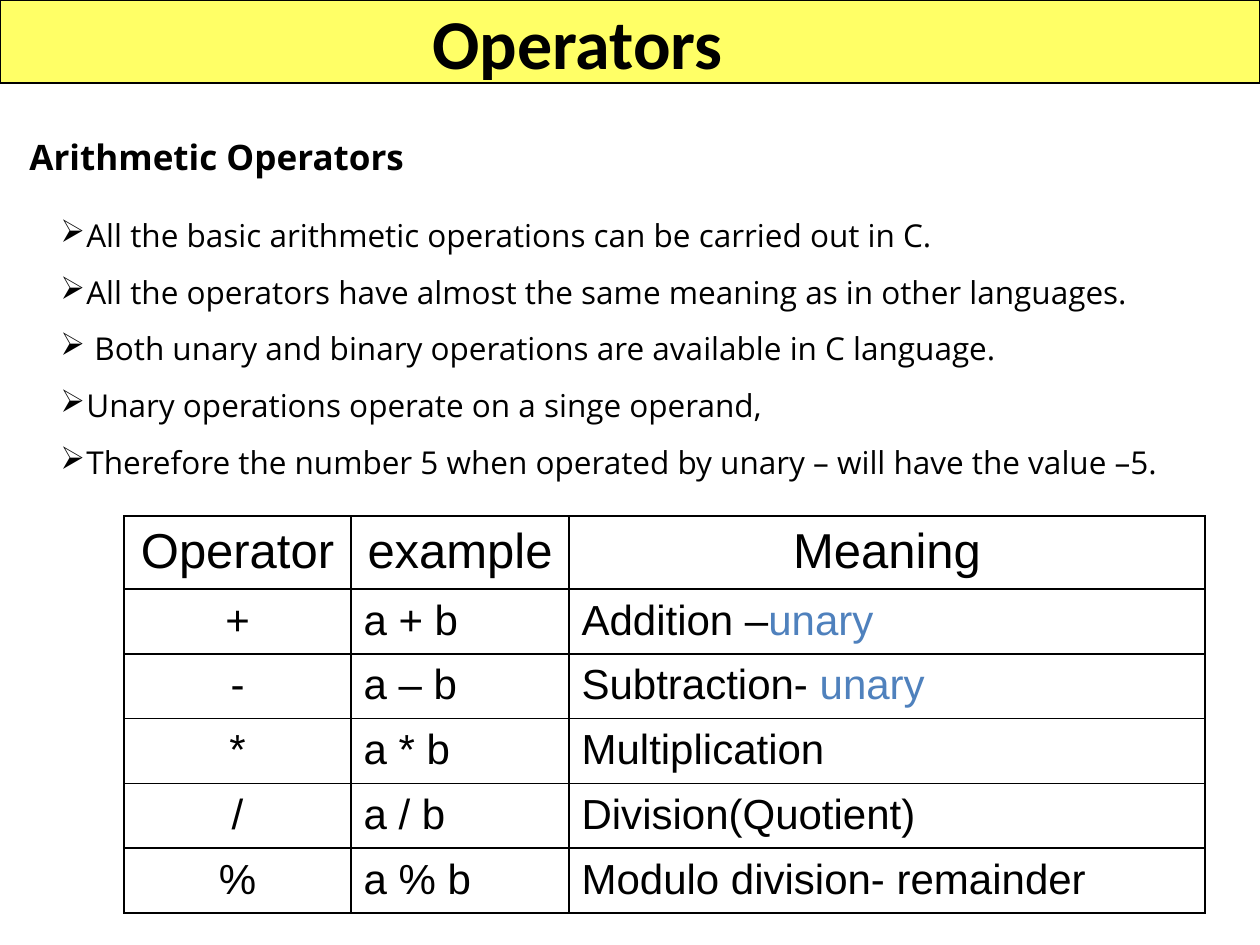
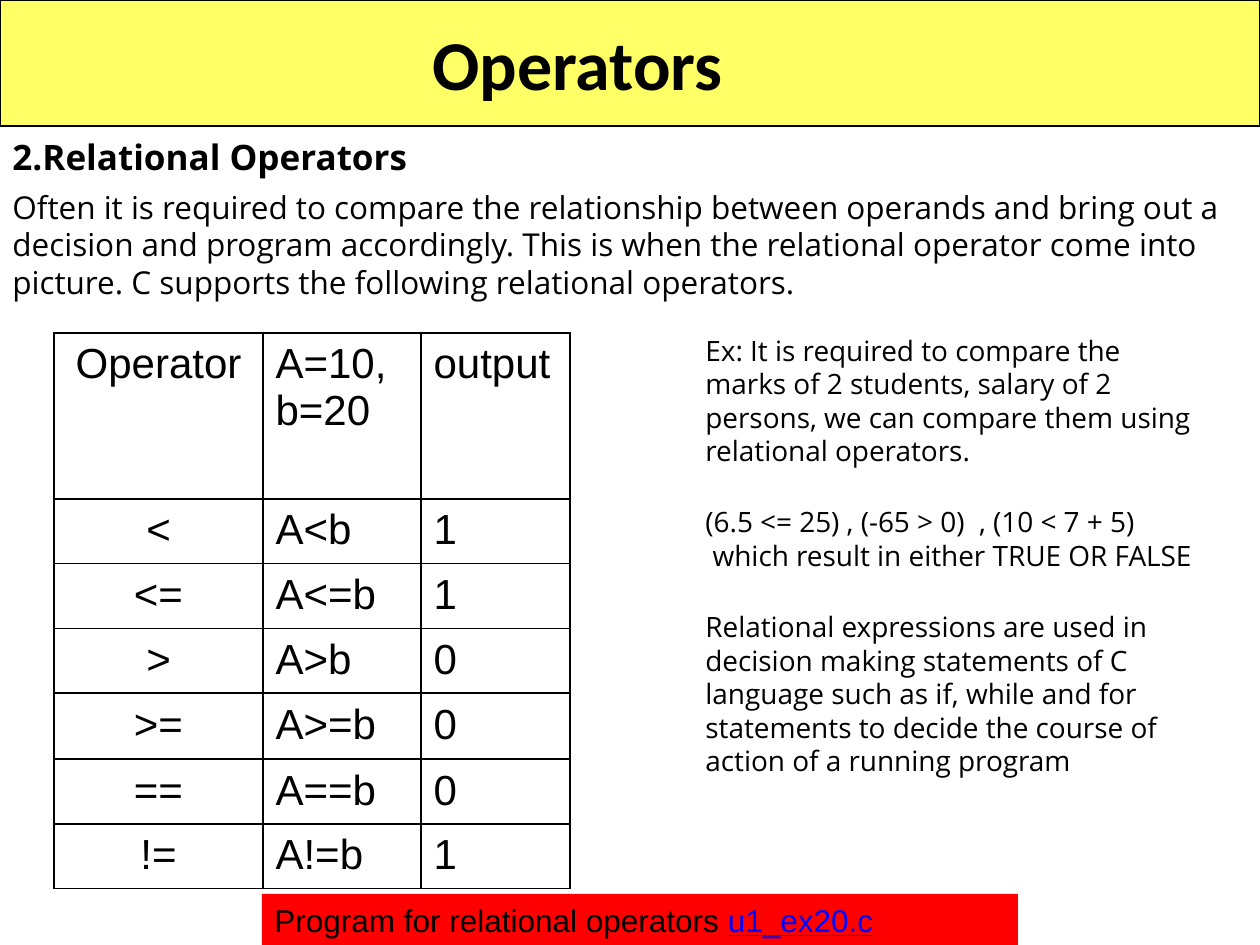
"""Build two slides on arithmetic and relational operators in C."""
import lxml.etree
import pptx
import pptx.dml.color
import pptx.enum.shapes
import pptx.enum.text
import pptx.oxml.ns
import pptx.util

RGB = pptx.dml.color.RGBColor
ALIGN = pptx.enum.text.PP_ALIGN
ANCHOR = pptx.enum.text.MSO_ANCHOR
RECT = pptx.enum.shapes.MSO_SHAPE.RECTANGLE
Pt = pptx.util.Pt

BLACK = RGB(0, 0, 0)
WHITE = RGB(255, 255, 255)
YELLOW = RGB(255, 255, 102)
RED = RGB(255, 0, 0)
ACCENT = RGB(79, 129, 189)
LINK = RGB(0, 0, 255)

TITLE = {"name": "Calibri", "size": 40, "bold": True}
HEAD = {"name": "Noto Sans", "size": 20, "bold": True}
BODY = {"name": "Open Sans", "size": 18}
SIDE = {"name": "Open Sans", "size": 16}
NOTE = {"name": "Arial", "size": 18}
CELL = {"name": "Arial", "size": 24}
BIG = {"name": "Arial", "size": 28}
TINT = {"color": ACCENT}
HREF = {"color": LINK, "underline": True}

PAGES = [
    {
        "band": 83,
        "head": ("Arithmetic Operators", (17, 129, 473, 56)),
        "texts": [{
            "box": (48, 191, 1212, 300), "font": BODY, "pitch": 32.4, "mark": "➢",
            "lines": [
                ("All the basic arithmetic operations can be carried out in C.", 0),
                ("All the operators have almost the same meaning as in other languages.", 0),
                (" Both unary and binary operations are available in C language.", 0),
                ("Unary operations operate on a singe operand,", 0),
                ("Therefore the number 5 when operated by unary – will have the value –5.", 0),
            ],
        }],
        "table": {
            "at": (124, 516), "cols": [227, 218, 636], "rows": [72] + [63] * 5,
            "top": BIG, "mid": 3,
            "cells": [
                ("Operator", "example", "Meaning"),
                ("+", "a + b", ("Addition –", "unary")),
                ("-", "a – b", ("Subtraction- ", "unary")),
                ("*", "a * b", "Multiplication"),
                ("/", "a / b", "Division(Quotient)"),
                ("%", "a % b", "Modulo division- remainder"),
            ],
        },
    },
    {
        "band": 126,
        "head": ("2.Relational Operators", (0, 129, 451, 50)),
        "texts": [
            {
                "box": (0, 182, 1260, 126), "font": BODY, "pitch": 21.4,
                "lines": [(
                    "Often it is required to compare the relationship between operands "
                    "and bring out a decision and program accordingly. This is when the "
                    "relational operator come into picture. C supports the following "
                    "relational operators.", 0)],
            },
            {
                "box": (693, 327, 525, 515), "font": SIDE, "pitch": 19.2,
                "lines": [
                    ("Ex: It is required to compare the marks of 2 students, salary of "
                     "2 persons, we can compare them using relational operators.", 0),
                    ("(6.5 <= 25) , (-65 > 0)  , (10 < 7 + 5)", 21.4),
                    (" which result in either TRUE OR FALSE", 0),
                    ("Relational expressions are used in decision making statements of C "
                     "language such as if, while and for statements to decide the course "
                     "of action of a running program", 21.4),
                ],
            },
        ],
        "table": {
            "at": (54, 333), "cols": [209, 158, 149],
            "rows": [166, 63, 63, 63, 66, 63, 63], "top": CELL, "mid": 1,
            "cells": [
                ("Operator", "A=10,b=20", "output"),
                ("<", "A<b", "1"),
                ("<=", "A<=b", "1"),
                (">", "A>b", "0"),
                (">=", "A>=b", "0"),
                ("==", "A==b", "0"),
                ("!=", "A!=b", "1"),
            ],
        },
        "note": (("Program for relational operators ", "u1_ex20.c"), (262, 894, 756, 51)),
    },
]


def px(num):
    """Turn px into EMU."""
    return pptx.util.Emu(round(num * 914400 / 126))


def put(obj, **vals):
    """Set attributes from format values."""
    for key, val in vals.items():
        setattr(obj, key, val)


def sub(node, tag, **vals):
    """Add a drawing element under a node."""
    return lxml.etree.SubElement(node, pptx.oxml.ns.qn("a:" + tag), vals)


def write(par, text, font, tail=None):
    """Write text, with an optional tail in another format."""
    parts = (text,) if isinstance(text, str) else text
    for part, more in zip(parts, ({}, tail)):
        run = par.add_run()
        run.text = part
        vals = {"color": BLACK, **font, **more}
        run.font.color.rgb = vals.pop("color")
        put(run.font, **{**vals, "size": Pt(vals["size"])})


def bar(slide, box, fill, line=None):
    """Draw a filled rectangle and return it."""
    shape = slide.shapes.add_shape(RECT, *map(px, box))
    shape.shadow.inherit = False
    shape.fill.solid()
    shape.fill.fore_color.rgb = fill
    if line is None:
        shape.line.fill.background()
    else:
        shape.line.color.rgb = line
        shape.line.width = Pt(0.75)
    put(shape.text_frame, word_wrap=True, vertical_anchor=ANCHOR.MIDDLE)
    shape.text_frame.paragraphs[0].alignment = ALIGN.LEFT
    return shape


def prose(slide, box, font, pitch, lines, mark=None):
    """Add a text box with even line pitch."""
    frame = slide.shapes.add_textbox(*map(px, box)).text_frame
    frame.word_wrap = True
    for num, (text, gap) in enumerate(lines):
        par = frame.add_paragraph() if num else frame.paragraphs[0]
        if mark:
            prop = par._p.get_or_add_pPr()
            prop.set("marL", str(px(26)))
            prop.set("indent", str(-px(26)))
            sub(prop, "buChar", char=mark)
        par.line_spacing = Pt(pitch)
        if gap:
            par.space_before = Pt(gap)
        write(par, text, font)


def edge(cell):
    """Draw thin black lines around a cell."""
    prop = cell._tc.get_or_add_tcPr()
    for num, side in enumerate(("lnL", "lnR", "lnT", "lnB")):
        line = sub(prop, side, w=str(Pt(1)))
        sub(sub(line, "solidFill"), "srgbClr", val=str(BLACK))
        prop.insert(num, line)


def grid(slide, at, cols, rows, top, mid, cells):
    """Add a table; the first mid header cells are centred."""
    size = (sum(cols), sum(rows))
    table = slide.shapes.add_table(
        len(rows), len(cols), *map(px, at + size)).table
    put(table, first_row=False, horz_banding=False)
    for col, wide in zip(table.columns, cols):
        col.width = px(wide)
    for row, high in zip(table.rows, rows):
        row.height = px(high)
    for r, words in enumerate(cells):
        for c, text in enumerate(words):
            cell = table.cell(r, c)
            put(cell, margin_top=px(8), vertical_anchor=ANCHOR.TOP)
            cell.fill.solid()
            cell.fill.fore_color.rgb = WHITE
            edge(cell)
            par = cell.text_frame.paragraphs[0]
            mids = c == 0 or (r == 0 and c < mid)
            par.alignment = ALIGN.CENTER if mids else ALIGN.LEFT
            write(par, text, CELL if r else top, TINT)


def build(slide, page):
    """Fill one slide."""
    text, box = page["head"]
    head = bar(slide, box, WHITE)
    head.text_frame.vertical_anchor = ANCHOR.TOP
    head.text_frame.paragraphs[0].line_spacing = Pt(24)
    write(head.text_frame.paragraphs[0], text, HEAD)
    for item in page["texts"]:
        prose(slide, **item)
    if "note" in page:
        text, box = page["note"]
        write(bar(slide, box, RED).text_frame.paragraphs[0], text, NOTE, HREF)
    band = bar(slide, (0, 0, 1260, page["band"]), YELLOW, BLACK).text_frame
    band.margin_right = px(117)
    band.paragraphs[0].alignment = ALIGN.CENTER
    write(band.paragraphs[0], "Operators", TITLE)
    grid(slide, **page["table"])


def main():
    """Make and save the deck."""
    deck = pptx.Presentation()
    put(deck, slide_width=px(1260), slide_height=px(945))
    for page in PAGES:
        build(deck.slides.add_slide(deck.slide_layouts[6]), page)
    deck.save("out.pptx")


if __name__ == "__main__":
    main()
